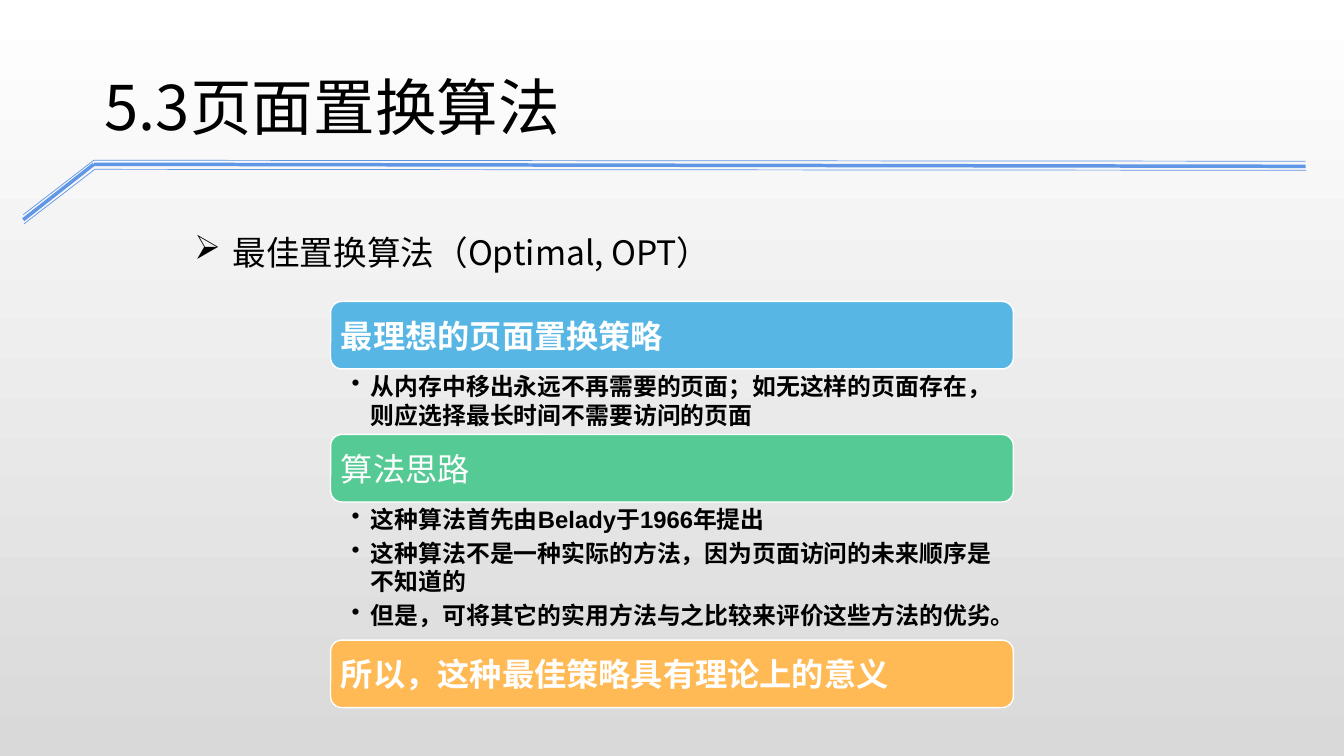
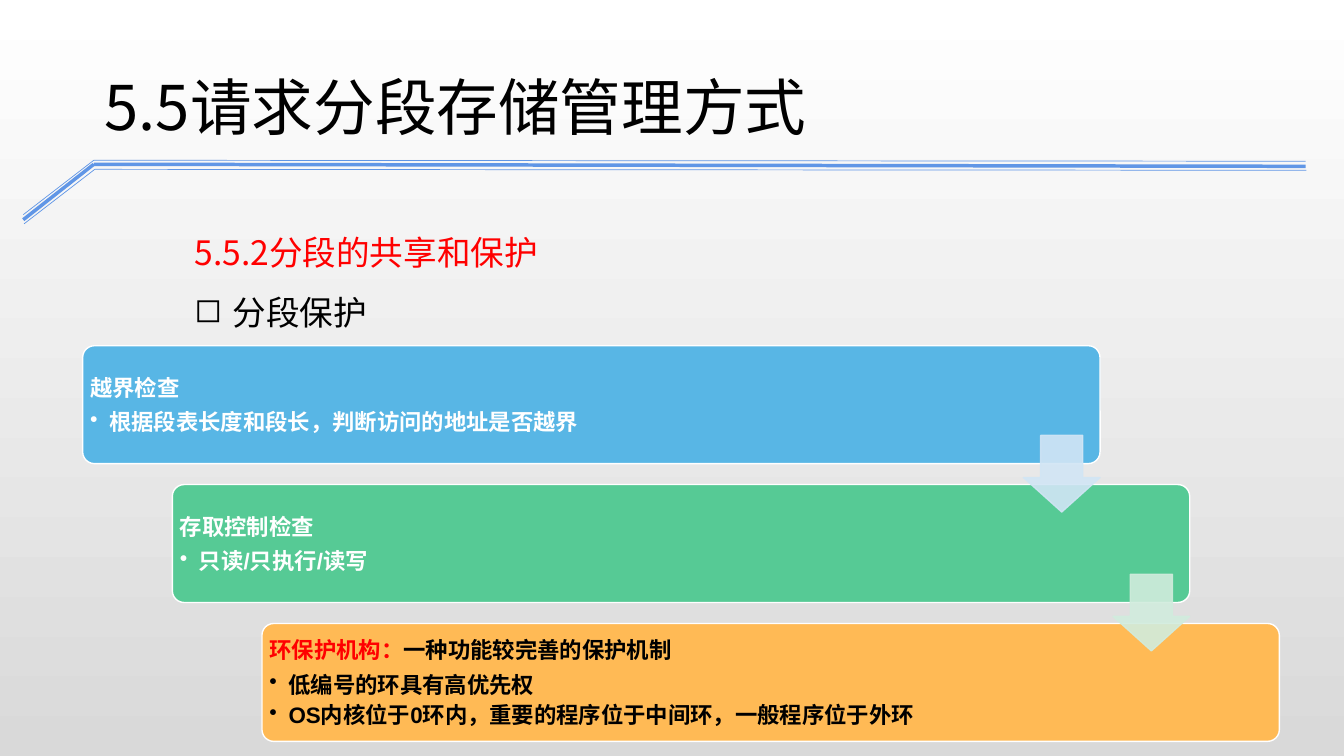
from dataclasses import dataclass

from lxml import etree
from pptx import Presentation
from pptx.dml.color import RGBColor
from pptx.enum.shapes import MSO_CONNECTOR, MSO_SHAPE
from pptx.enum.text import MSO_ANCHOR, PP_ALIGN
from pptx.oxml.ns import qn
from pptx.util import Inches, Pt

STRAIGHT = MSO_CONNECTOR.STRAIGHT
ROUNDED = MSO_SHAPE.ROUNDED_RECTANGLE
DOWN_ARROW = MSO_SHAPE.DOWN_ARROW
TOP, MIDDLE = MSO_ANCHOR.TOP, MSO_ANCHOR.MIDDLE
LEFT = PP_ALIGN.LEFT

WIDTH, HEIGHT = Inches(13.33), Inches(7.5)
HEADING_FONT, BODY_FONT = "Noto Sans CJK JP", "Arial"

BLACK = RGBColor(0x00, 0x00, 0x00)
WHITE = RGBColor(0xFF, 0xFF, 0xFF)
GREY = RGBColor(0xD9, 0xD9, 0xD9)
RED = RGBColor(0xFF, 0x00, 0x00)
RAIL_BLUE = RGBColor(0x60, 0x96, 0xE6)
SKY = RGBColor(0x58, 0xB6, 0xE5)
GREEN = RGBColor(0x56, 0xCA, 0x95)
ORANGE = RGBColor(0xFF, 0xBA, 0x55)
PALE_SKY = RGBColor(0xD1, 0xE5, 0xF5)
PALE_GREEN = RGBColor(0xD1, 0xEC, 0xDD)

RAILS = [
    ([(1.73, 28.4), (6.98, 21.2), (97.15, 21.33)], 0.5),
    ([(1.73, 29.07), (6.98, 21.73), (97.15, 22)], 2.5),
    ([(1.8, 29.6), (7.05, 22.4), (97.2, 22.53)], 0.5),
]


@dataclass
class Style:
    size: float
    font: str = BODY_FONT
    bold: bool = True
    spacing: float = 1.0
    anchor: MSO_ANCHOR = TOP
    insets: tuple = (0.1, 0.05, 0.1, 0.05)


@dataclass
class Line:
    spans: list
    bullet: str = ""
    indent: float = 0.19
    after: float = 0


TITLE = Style(44, HEADING_FONT, False)
HEADING = Style(24, HEADING_FONT, False, 1.5)
BANNER = Style(23, anchor=MIDDLE, insets=(0.07, 0.07, 0.07, 0.07))
PLAIN_BANNER = Style(23, bold=False, anchor=MIDDLE, insets=BANNER.insets)
DETAIL = Style(17, insets=(0.21, 0.03, 0.18, 0.03))
STEP = Style(16, anchor=MIDDLE, insets=(0.04, 0.04, 0.04, 0.04))


def across(percent):
    return round(WIDTH * percent / 100)


def down(percent):
    return round(HEIGHT * percent / 100)


def place(left, top, width, height):
    return across(left), down(top), across(width), down(height)


def add_bullet(para, line):
    properties = para._p.get_or_add_pPr()
    properties.set("marL", str(Inches(line.indent)))
    properties.set("indent", str(-Inches(line.indent)))
    etree.SubElement(properties, qn("a:buChar")).set("char", line.bullet)


def write(shape, lines, style):
    frame = shape.text_frame
    frame.word_wrap = True
    frame.vertical_anchor = style.anchor
    (frame.margin_left, frame.margin_top,
     frame.margin_right, frame.margin_bottom) = map(Inches, style.insets)
    for index, line in enumerate(lines):
        para = frame.add_paragraph() if index else frame.paragraphs[0]
        if line.bullet:
            add_bullet(para, line)
        para.alignment = LEFT
        para.line_spacing = style.spacing
        para.space_after = Pt(line.after)
        for text, color in line.spans:
            span = para.add_run()
            span.text = text
            span.font.size = Pt(style.size)
            span.font.bold = style.bold
            span.font.name = style.font
            span.font.color.rgb = color
            east_asian = etree.SubElement(span._r.get_or_add_rPr(), qn("a:ea"))
            east_asian.set("typeface", style.font)


def add_text(page, area, lines, style):
    write(page.shapes.add_textbox(*place(*area)), lines, style)


def add_block(page, kind, area, fill, border, adjustments=()):
    block = page.shapes.add_shape(kind, *place(*area))
    block.shadow.inherit = False
    block.fill.solid()
    block.fill.fore_color.rgb = fill
    block.line.color.rgb = border
    block.line.width = Pt(1)
    for index, value in enumerate(adjustments):
        block.adjustments[index] = value
    return block


def add_arrow(page, area, color):
    arrow = add_block(page, DOWN_ARROW, area, color, color, (0.55, 0.45))
    for shade in arrow._element.spPr.iter(qn("a:srgbClr")):
        etree.SubElement(shade, qn("a:alpha")).set("val", "90000")


def add_rail(page, points, weight):
    for start, end in zip(points, points[1:]):
        rail = page.shapes.add_connector(
            STRAIGHT, across(start[0]), down(start[1]), across(end[0]), down(end[1]))
        rail.line.color.rgb = RAIL_BLUE
        rail.line.width = Pt(weight)
        etree.SubElement(rail._element.spPr, qn("a:effectLst"))


def add_page(deck, title, headings, heading_height):
    page = deck.slides.add_slide(deck.slide_layouts[6])
    fill = page.background.fill
    fill.gradient()
    fill.gradient_angle = 270
    for stop, color, position in zip(fill.gradient_stops, (WHITE, GREY), (0, 1)):
        stop.color.rgb = color
        stop.position = position
    for points, weight in RAILS:
        add_rail(page, points, weight)
    add_text(page, (13.73, 27.33, 85.9, heading_height), headings, HEADING)
    add_text(page, (7.05, 8.4, 71.4, 11.2), [Line([(title, BLACK)])], TITLE)
    return page


def add_banner_stack(page, sections):
    left, top, width, banner_height = 24.6, 39.87, 50.8, 8.93
    for text, style, fill, details, detail_height in sections:
        banner = add_block(page, ROUNDED, (left, top, width, banner_height), fill, WHITE)
        write(banner, [Line([(text, WHITE)])], style)
        top += banner_height
        if details:
            lines = [Line([(detail, BLACK)], "•", after=3.4) for detail in details]
            add_text(page, (left, top, width, detail_height), lines, DETAIL)
            top += detail_height


def add_staircase(page, steps, arrow_colors):
    left, top, width, height = 6.15, 45.73, 75.7, 15.6
    shift, pitch = 6.67, 18.37
    arrow_width, arrow_height, arrow_drop = 5.7, 10.13, 11.87
    for index, (fill, ink, heading, details) in enumerate(steps):
        area = (left + index * shift, top + index * pitch, width, height)
        step = add_block(page, ROUNDED, area, fill, WHITE, (0.1,))
        lines = [Line(heading, after=5.6)]
        lines += [Line([(detail, ink)], "•", after=2.4) for detail in details]
        write(step, lines, STEP)
    for index, color in enumerate(arrow_colors):
        arrow_left = left + index * shift + width - arrow_width
        arrow_top = top + index * pitch + arrow_drop
        add_arrow(page, (arrow_left, arrow_top, arrow_width, arrow_height), color)


def main():
    deck = Presentation()
    deck.slide_width, deck.slide_height = WIDTH, HEIGHT

    page = add_page(deck, "5.3页面置换算法", [
        Line([("最佳置换算法（Optimal, OPT）", BLACK)], "➢", 0.38)], 9.47)
    add_banner_stack(page, [
        ("最理想的页面置换策略", BANNER, SKY,
         ["从内存中移出永远不再需要的页面；如无这样的页面存在，则应选择最长时间不需要访问的页面"], 8.67),
        ("算法思路", PLAIN_BANNER, GREEN,
         ["这种算法首先由Belady于1966年提出",
          "这种算法不是一种实际的方法，因为页面访问的未来顺序是不知道的",
          "但是，可将其它的实用方法与之比较来评价这些方法的优劣。"], 18.27),
        ("所以，这种最佳策略具有理论上的意义", BANNER, ORANGE, [], 0),
    ])

    page = add_page(deck, "5.5请求分段存储管理方式", [
        Line([("5.5.2分段的共享和保护", RED)]),
        Line([("分段保护", BLACK)], "◻", 0.38)], 24.27)
    add_staircase(page, [
        (SKY, WHITE, [("越界检查", WHITE)], ["根据段表长度和段长，判断访问的地址是否越界"]),
        (GREEN, WHITE, [("存取控制检查", WHITE)], ["只读/只执行/读写"]),
        (ORANGE, BLACK, [("环保护机构：", RED), ("一种功能较完善的保护机制", BLACK)],
         ["低编号的环具有高优先权",
          "OS内核位于0环内，重要的程序位于中间环，一般程序位于外环"]),
    ], [PALE_SKY, PALE_GREEN])

    deck.save("out.pptx")


if __name__ == "__main__":
    main()
